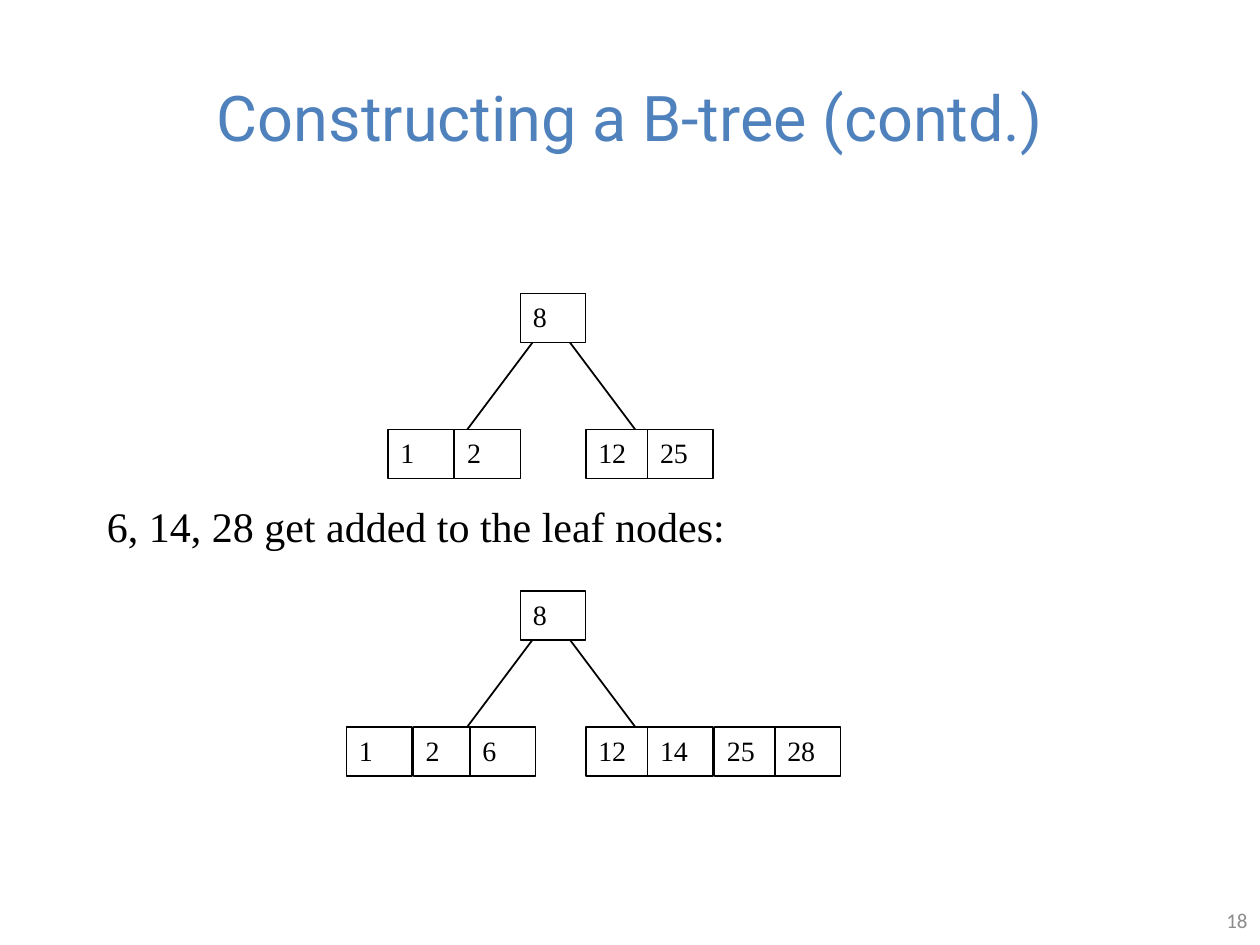
from pptx import Presentation
from pptx.dml.color import RGBColor
from pptx.enum.shapes import MSO_CONNECTOR, MSO_SHAPE
from pptx.enum.text import MSO_ANCHOR, PP_ALIGN
from pptx.oxml import parse_xml
from pptx.util import Inches, Pt

SERIF = "Times New Roman"
INK = "000000"
TEXTS = [
    ("Constructing a B-tree (contd.)", (0.5, 0.3, 9, 1.25),
     {"name": "Roboto", "size": Pt(36)}, "4F81BD", PP_ALIGN.CENTER, MSO_ANCHOR.MIDDLE),
    ("6, 14, 28 get added to the leaf nodes:", (0.75, 3.92, 8.58, 0.5),
     {"name": SERIF, "size": Pt(24)}, INK, PP_ALIGN.LEFT, MSO_ANCHOR.TOP),
    ("18", (7.67, 7.1, 2.33, 0.4),
     {"name": "Calibri", "size": Pt(12)}, "8C8C8C", PP_ALIGN.RIGHT, MSO_ANCHOR.MIDDLE),
]
ROOT = ("8", 4.13)
TREES = [
    (2.33, [("1", 3.08), ("2", 3.61), ("12", 4.65), ("25", 5.14)]),
    (4.69, [("1", 2.75), ("2", 3.28), ("6", 3.73),
            ("12", 4.65), ("14", 5.14), ("25", 5.67), ("28", 6.15)]),
]
EDGES = [(4.33, 3.58), (4.42, 5.17)]
KEY_W, KEY_H, DROP = 0.52, 0.39, 1.08
EDGE_TOP, EDGE_H = 0.25, 1
EMPTY = '<a:effectLst xmlns:a="http://schemas.openxmlformats.org/drawingml/2006/main"/>'


def color(code):
    return RGBColor.from_string(code)


def write(shape, text, font, code, align=PP_ALIGN.LEFT, anchor=MSO_ANCHOR.TOP):
    frame = shape.text_frame
    frame.word_wrap = True
    frame.vertical_anchor = anchor
    para = frame.paragraphs[0]
    para.alignment = align
    run = para.add_run()
    run.text = text
    for key, value in font.items():
        setattr(run.font, key, value)
    run.font.color.rgb = color(code)


def add_key(shapes, text, left, top):
    box = shapes.add_shape(MSO_SHAPE.RECTANGLE, *map(Inches, (left, top, KEY_W, KEY_H)))
    box.shadow.inherit = False
    box.fill.solid()
    box.fill.fore_color.rgb = color("FFFFFF")
    box.line.color.rgb = color(INK)
    box.line.width = Pt(0.75)
    write(box, text, {"name": SERIF, "size": Pt(16)}, INK)


def add_edge(shapes, start, end, top):
    ends = map(Inches, (start, top, end, top + EDGE_H))
    edge = shapes.add_connector(MSO_CONNECTOR.STRAIGHT, *ends)
    edge.line.color.rgb = color(INK)
    edge.line.width = Pt(1)
    edge._element.spPr.append(parse_xml(EMPTY))


def main():
    """Build the B-tree slide and save it."""
    deck = Presentation()
    deck.slide_width, deck.slide_height = Inches(10), Inches(7.5)
    shapes = deck.slides.add_slide(deck.slide_layouts[6]).shapes
    for text, area, *style in TEXTS:
        write(shapes.add_textbox(*map(Inches, area)), text, *style)
    for top, leaves in TREES:
        for start, end in EDGES:
            add_edge(shapes, start, end, top + EDGE_TOP)
        add_key(shapes, *ROOT, top)
        for text, left in leaves:
            add_key(shapes, text, left, top + DROP)
    deck.save("out.pptx")


if __name__ == "__main__":
    main()
